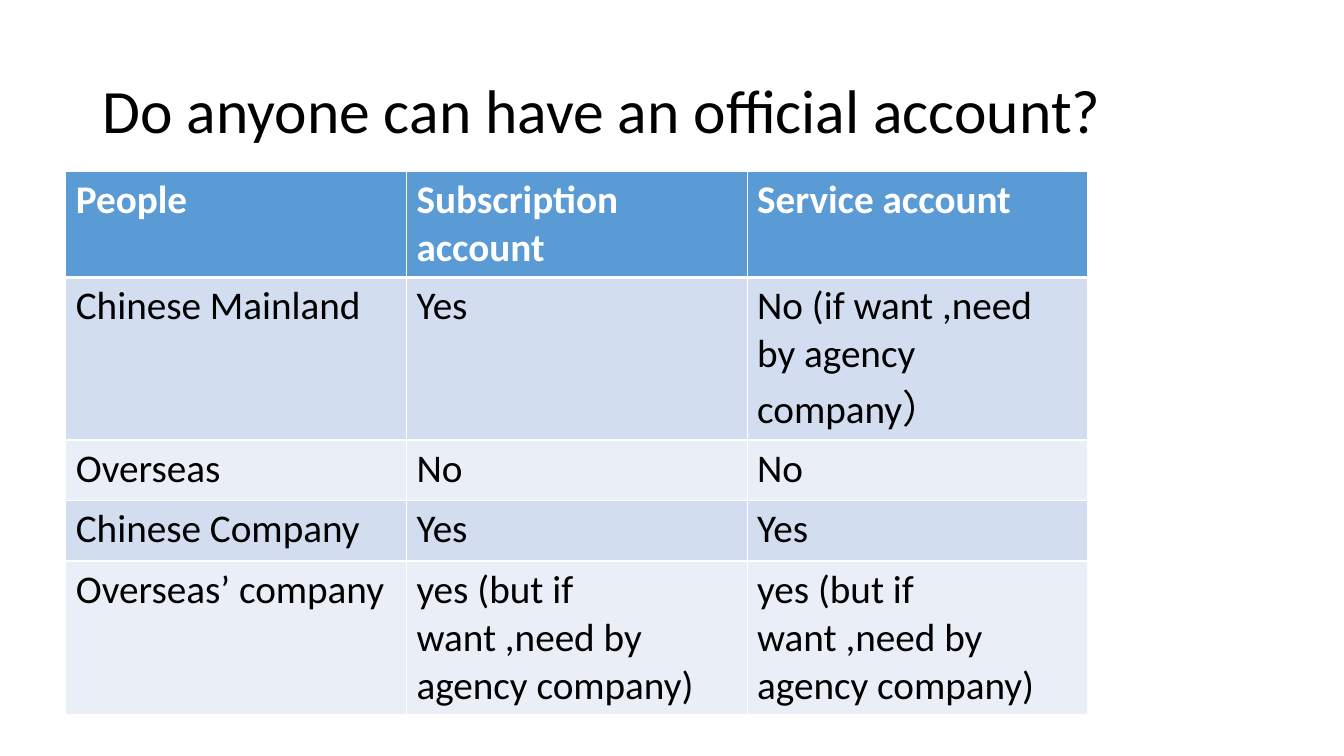
"""Build a slide with a table of who can open an official account."""
from lxml.etree import SubElement
from pptx import Presentation
from pptx.dml.color import RGBColor
from pptx.enum.text import MSO_ANCHOR, PP_ALIGN
from pptx.oxml import parse_xml
from pptx.oxml.ns import nsdecls, qn
from pptx.util import Pt

BLACK = RGBColor(0x00, 0x00, 0x00)
WHITE = RGBColor(0xFF, 0xFF, 0xFF)
BLUE = RGBColor(0x5B, 0x9B, 0xD5)
BAND_DARK = RGBColor(0xD2, 0xDE, 0xEF)
BAND_LIGHT = RGBColor(0xEA, 0xEF, 0xF7)

AGENCY = "yes (but if want ,need by agency company)"
ROWS = [
    ("People", "Subscription account", "Service account"),
    ("Chinese Mainland", "Yes", "No (if want ,need by agency company）"),
    ("Overseas", "No", "No"),
    ("Chinese Company", "Yes", "Yes"),
    ("Overseas’ company", AGENCY, AGENCY),
]
ROW_HEIGHTS = [74.16, 79.2, 43.2, 43.2, 79.2]


class SlideBuilder:
    """Hold the style and the current slide."""

    font = "Calibri"
    title_size = 44
    table_size = 28

    def __init__(self, prs):
        """Add a title-only slide."""
        self.s = prs.slides.add_slide(prs.slide_layouts[5])

    def run(self, p, text, size, color, bold=False):
        """Add one formatted run to a paragraph."""
        r = p.add_run()
        r.text = text
        r.font.name = self.font
        r.font.size = Pt(size)
        r.font.bold = bold
        r.font.color.rgb = color

    def title(self, text, x, y, w, h):
        """Place and fill the title placeholder."""
        sp = self.s.shapes.title
        sp.left, sp.top, sp.width, sp.height = Pt(x), Pt(y), Pt(w), Pt(h)
        tf = sp.text_frame
        tf.word_wrap = True
        tf.vertical_anchor = MSO_ANCHOR.MIDDLE
        p = tf.paragraphs[0]
        p.alignment = PP_ALIGN.LEFT
        p.line_spacing = 0.9
        self.run(p, text, self.title_size, BLACK)

    def borders(self, cell, top, bottom):
        """Draw white cell borders, with top and bottom widths in points."""
        widths = {"lnL": 1, "lnR": 1, "lnT": top, "lnB": bottom}
        for i, (tag, width) in enumerate(widths.items()):
            ln = parse_xml(f'<a:{tag} {nsdecls("a")} w="{Pt(width)}"/>')
            fill = SubElement(ln, qn("a:solidFill"))
            SubElement(fill, qn("a:srgbClr"), val=str(WHITE))
            cell._tc.get_or_add_tcPr().insert(i, ln)

    def table(self, rows, heights, x, y, w):
        """Add a banded table with a header row and equal columns."""
        n = len(rows[0])
        frame = self.s.shapes.add_table(
            len(rows), n, Pt(x), Pt(y), Pt(w), Pt(sum(heights)))
        table = frame.table
        for column in table.columns:
            column.width = Pt(w / n)
        for i, (texts, height) in enumerate(zip(rows, heights)):
            table.rows[i].height = Pt(height)
            header = i == 0
            band = BAND_DARK if i % 2 else BAND_LIGHT
            for j, text in enumerate(texts):
                cell = table.cell(i, j)
                cell.fill.solid()
                cell.fill.fore_color.rgb = BLUE if header else band
                self.borders(cell, 3 if i == 1 else 1, 3 if header else 1)
                self.run(cell.text_frame.paragraphs[0], text, self.table_size,
                         WHITE if header else BLACK, header)


def main():
    """Build and save the presentation."""
    prs = Presentation()
    prs.slide_width, prs.slide_height = Pt(960), Pt(540)
    slide = SlideBuilder(prs)
    slide.title("Do anyone can have an official account?", 66, 28.75, 828, 104.4)
    slide.table(ROWS, ROW_HEIGHTS, 47, 122.5, 730)
    prs.save("out.pptx")


if __name__ == "__main__":
    main()
